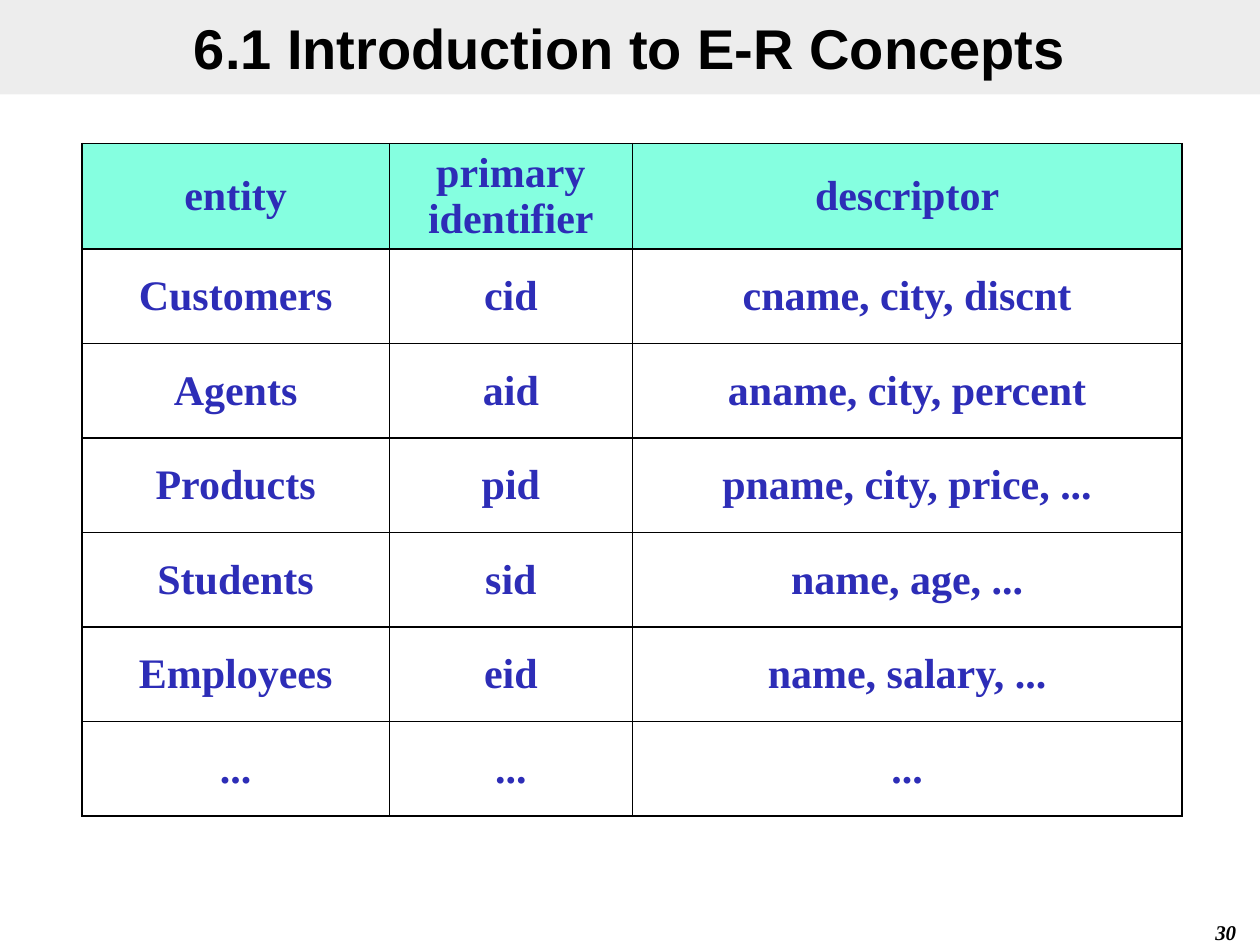
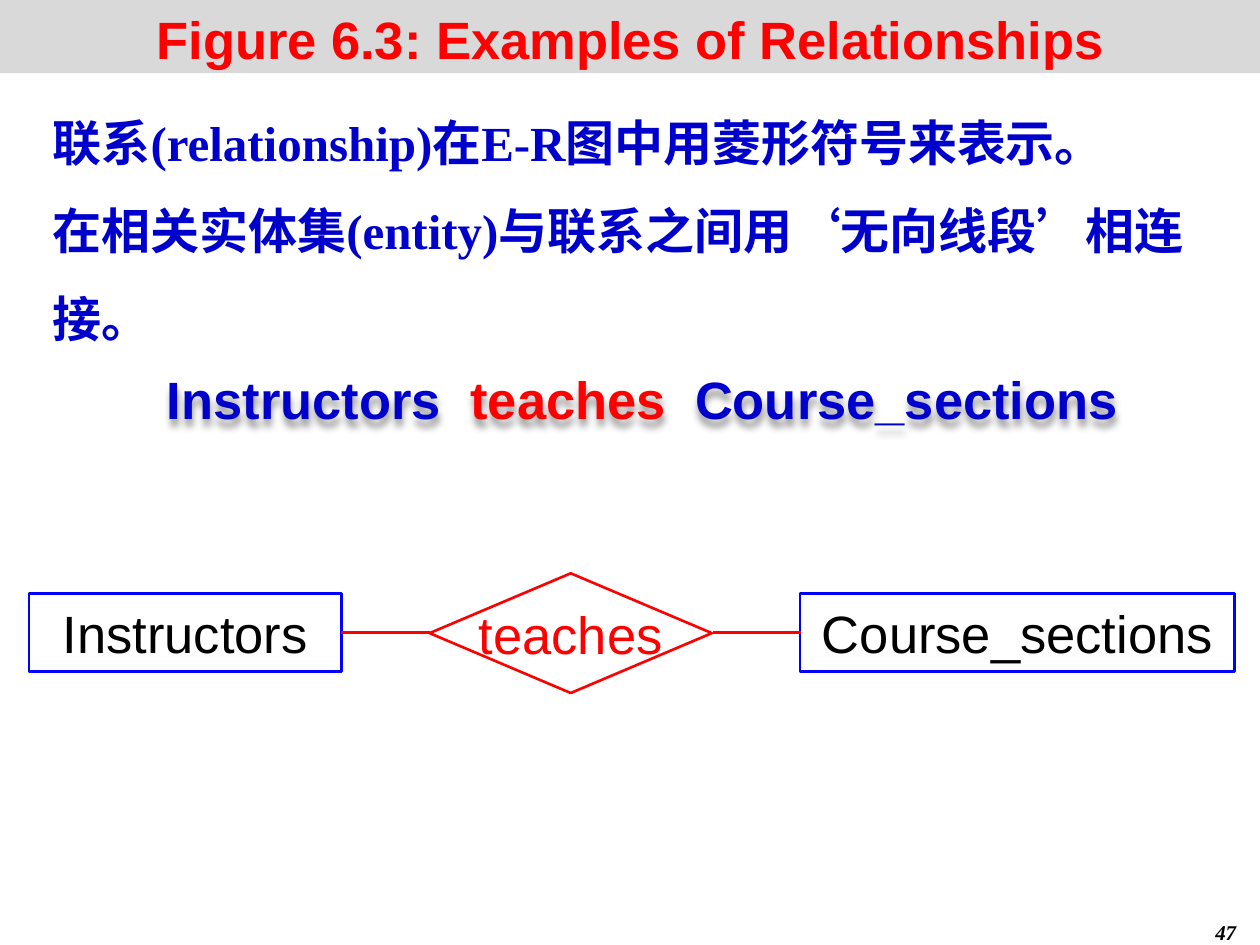
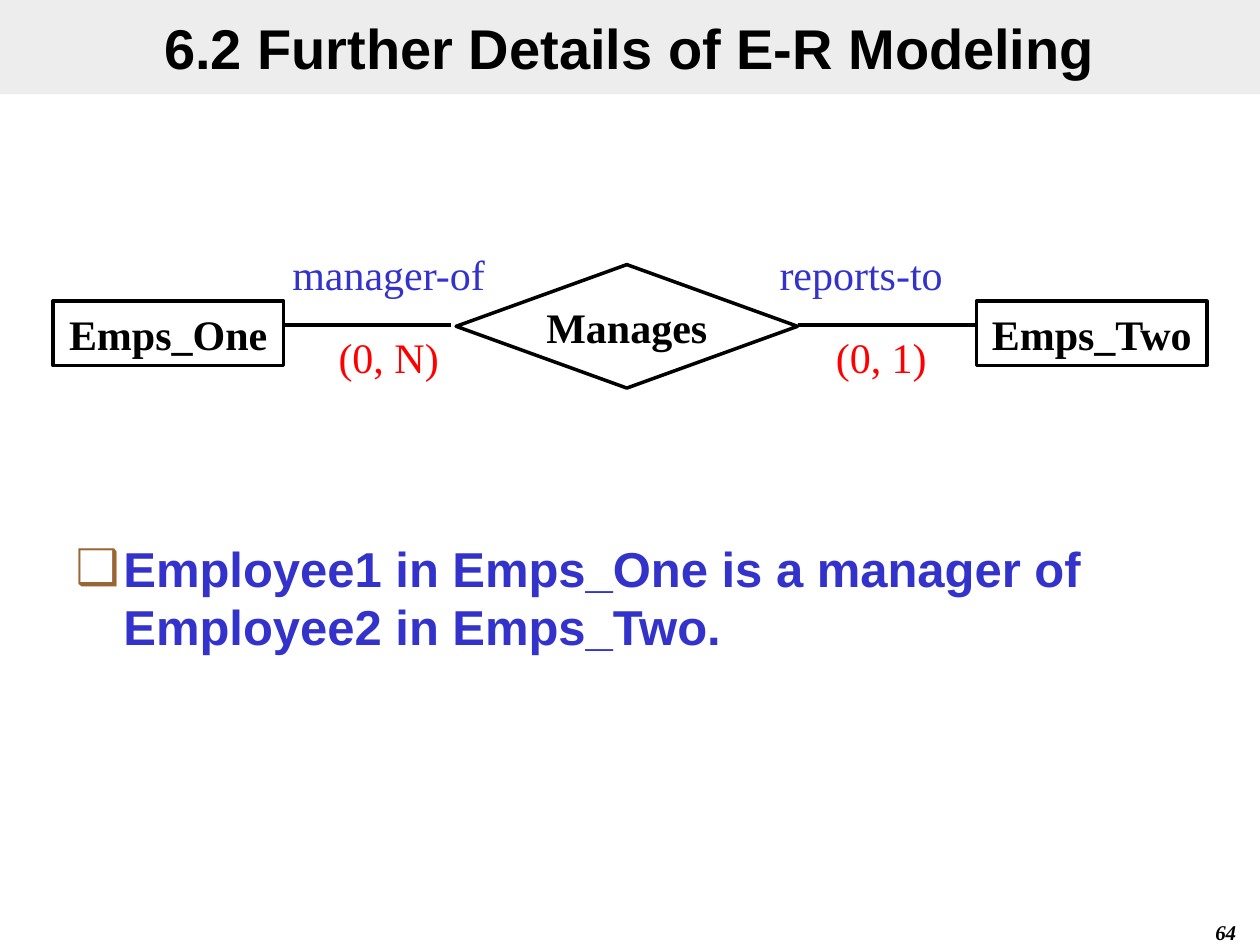
"""Build three slides on entity-relationship concepts."""
import dataclasses

import lxml.etree
import pptx
import pptx.dml.color
import pptx.enum.lang
import pptx.enum.shapes
import pptx.enum.text
import pptx.oxml.ns
import pptx.util

Inches = pptx.util.Inches
Pt = pptx.util.Pt
qn = pptx.oxml.ns.qn
ALIGN = pptx.enum.text.PP_ALIGN
ANCHOR = pptx.enum.text.MSO_ANCHOR
SHAPE = pptx.enum.shapes.MSO_SHAPE


@dataclasses.dataclass(frozen=True)
class Theme:
    """Colours, fonts and type sizes of the presentation."""
    sans: str = "Arial"
    serif: str = "Times New Roman"
    black: str = "000000"
    white: str = "FFFFFF"
    red: str = "FF0000"
    outline_blue: str = "0000FF"
    text_blue: str = "0000CC"
    label_blue: str = "3333CC"
    table_blue: str = "2D2DB7"
    header_fill: str = "85FFE0"
    band: str = "DDDDDD"
    figure_band: str = "D9D9D9"
    bullet: str = "996633"
    title_size: int = 32
    figure_size: int = 30
    body_size: int = 28
    label_size: int = 24
    number_size: int = 12


THEME = Theme()


@dataclasses.dataclass(frozen=True)
class Style:
    """Character formatting of a run."""
    size: int
    font: str
    colour: str
    bold: bool = False
    italic: bool = False


TITLE = Style(THEME.title_size, THEME.sans, THEME.black, bold=True)
FIGURE_TITLE = Style(THEME.figure_size, THEME.sans, THEME.red, bold=True)
FIGURE = Style(THEME.figure_size, THEME.sans, THEME.black)
SENTENCE = Style(THEME.figure_size, THEME.sans, THEME.text_blue, bold=True)
CHINESE = Style(THEME.body_size, THEME.serif, THEME.text_blue, bold=True)
BODY = Style(THEME.body_size, THEME.sans, THEME.label_blue, bold=True)
CELL = Style(THEME.label_size, THEME.serif, THEME.table_blue, bold=True)
ENTITY = Style(THEME.label_size, THEME.serif, THEME.black, bold=True)
ROLE = Style(THEME.label_size, THEME.serif, THEME.label_blue)
CARDINALITY = Style(THEME.label_size, THEME.serif, THEME.red)
NUMBER = Style(THEME.number_size, THEME.serif, THEME.black, bold=True, italic=True)


def rgb(colour):
    """Return a colour object for a hexadecimal string."""
    return pptx.dml.color.RGBColor.from_string(colour)


def add_element(parent, tag, **attributes):
    """Append a drawing element and return it."""
    return lxml.etree.SubElement(parent, qn(tag), attributes)


def add_run(paragraph, text, style):
    """Add one formatted run."""
    run = paragraph.add_run()
    run.text = text
    font = run.font
    font.name, font.size = style.font, Pt(style.size)
    font.bold, font.italic = style.bold, style.italic
    font.color.rgb = rgb(style.colour)
    return run


def write(frame, lines, style, align=ALIGN.CENTER, anchor=ANCHOR.MIDDLE, wrap=True):
    """Fill a text frame with one paragraph per line."""
    frame.word_wrap = wrap
    frame.auto_size = pptx.enum.text.MSO_AUTO_SIZE.NONE
    frame.vertical_anchor = anchor
    for index, line in enumerate(lines):
        paragraph = frame.add_paragraph() if index else frame.paragraphs[0]
        paragraph.alignment = align
        paragraph.space_before = Pt(0)
        add_run(paragraph, line, style)


def place(shape, left, top, width, height):
    """Move and size a shape in inches."""
    shape.left, shape.top = Inches(left), Inches(top)
    shape.width, shape.height = Inches(width), Inches(height)


def add_slide(presentation, layout, number):
    """Add a slide with its number in the lower right corner."""
    slide = presentation.slides.add_slide(presentation.slide_layouts[layout])
    add_label(slide, (7.83, 7.25, 2.08, 0.25), [str(number)], NUMBER, ALIGN.RIGHT, ANCHOR.TOP)
    return slide


def set_title(slide, text, style=TITLE, box=(0, 0, 10, 0.75), band=THEME.band, opacity=50):
    """Write the title on its grey band."""
    title = slide.shapes.title
    place(title, *box)
    title.fill.solid()
    title.fill.fore_color.rgb = rgb(band)
    colour = title.fill._xPr.find(qn("a:solidFill"))[0]
    add_element(colour, "a:alpha", val=str(opacity * 1000))
    write(title.text_frame, [text], style)


def add_label(slide, box, lines, style, align=ALIGN.CENTER, anchor=ANCHOR.MIDDLE):
    """Add a text box."""
    label = slide.shapes.add_textbox(*map(Inches, box))
    write(label.text_frame, lines, style, align, anchor)
    return label


def add_node(slide, kind, box, text, style, line, weight, fill=None):
    """Add an outlined entity or relationship shape."""
    node = slide.shapes.add_shape(kind, *map(Inches, box))
    node.shadow.inherit = False
    if fill:
        node.fill.solid()
        node.fill.fore_color.rgb = rgb(fill)
    else:
        node.fill.background()
    node.line.color.rgb = rgb(line)
    node.line.width = Pt(weight)
    write(node.text_frame, [text], style, wrap=False)


def add_link(slide, start, end, y, colour, weight):
    """Draw a horizontal line between two shapes."""
    link = slide.shapes.add_connector(
        pptx.enum.shapes.MSO_CONNECTOR.STRAIGHT, Inches(start), Inches(y), Inches(end), Inches(y))
    link.line.color.rgb = rgb(colour)
    link.line.width = Pt(weight)
    add_element(link._element.spPr, "a:effectLst")


def add_soft_shadow(shape):
    """Give a text box a blurred shadow below its letters."""
    effects = add_element(shape._element.spPr, "a:effectLst")
    shadow = add_element(effects, "a:outerShdw", blurRad="50800", dist="50800",
                         dir="5400000", algn="t", rotWithShape="0")
    colour = add_element(shadow, "a:srgbClr", val=THEME.black)
    add_element(colour, "a:alpha", val="40000")


def set_bullet(paragraph, character, colour, indent):
    """Give a paragraph a coloured hanging bullet."""
    properties = paragraph._p.get_or_add_pPr()
    properties.set("marL", str(Inches(indent)))
    properties.set("indent", str(-Inches(indent)))
    bullet_colour = add_element(properties, "a:buClr")
    add_element(bullet_colour, "a:srgbClr", val=colour)
    add_element(properties, "a:buChar", char=character)


def set_borders(cell, colour, weight):
    """Draw a line on all four sides of a cell."""
    properties = cell._tc.get_or_add_tcPr()
    for side in ("a:lnL", "a:lnR", "a:lnT", "a:lnB"):
        line = add_element(properties, side, w=str(Pt(weight)))
        fill = add_element(line, "a:solidFill")
        add_element(fill, "a:srgbClr", val=colour)


def add_grid(slide, left, top, widths, row_height, rows):
    """Add a bordered table with a coloured header row."""
    frame = slide.shapes.add_table(
        len(rows), len(widths), Inches(left), Inches(top),
        Inches(sum(widths)), Inches(row_height * len(rows)))
    table = frame.table
    table.horz_banding = False
    for column, width in zip(table.columns, widths):
        column.width = Inches(width)
    for row_index, row in enumerate(rows):
        for column_index, text in enumerate(row):
            cell = table.cell(row_index, column_index)
            set_borders(cell, THEME.black, 1)
            if row_index:
                cell.fill.background()
            else:
                cell.fill.solid()
                cell.fill.fore_color.rgb = rgb(THEME.header_fill)
            cell.vertical_anchor = ANCHOR.MIDDLE
            write_cell(cell, text)


def write_cell(cell, text):
    """Write centred lines in a table cell."""
    for index, line in enumerate(text.split("\n")):
        paragraph = cell.text_frame.add_paragraph() if index else cell.text_frame.paragraphs[0]
        paragraph.alignment = ALIGN.CENTER
        add_run(paragraph, line, CELL)


def build_entity_table(presentation):
    """Build the slide that lists entities and their attributes."""
    slide = add_slide(presentation, 5, 30)
    set_title(slide, "6.1 Introduction to E-R Concepts")
    add_grid(slide, 0.65, 1.14, (2.44, 1.93, 4.36), 0.75, [
        ("entity", "primary\nidentifier", "descriptor"),
        ("Customers", "cid", "cname, city, discnt"),
        ("Agents", "aid", "aname, city, percent"),
        ("Products", "pid", "pname, city, price, ..."),
        ("Students", "sid", "name, age, ..."),
        ("Employees", "eid", "name, salary, ..."),
        ("...", "...", "..."),
    ])


def build_teaches(presentation):
    """Build the slide with the teaches relationship."""
    slide = add_slide(presentation, 5, 47)
    set_title(slide, "Figure 6.3: Examples of Relationships", FIGURE_TITLE,
              (-0.02, -0.02, 10.05, 0.6), THEME.figure_band, 100)
    slide.shapes.title.text_frame.margin_top = Inches(0.1)
    for box, text in (((0.23, 4.71, 2.48, 0.62), "Instructors"),
                      ((6.35, 4.71, 3.45, 0.62), "Course_sections")):
        add_node(slide, SHAPE.RECTANGLE, box, text, FIGURE, THEME.outline_blue, 1.5)
    add_node(slide, SHAPE.DIAMOND, (3.41, 4.55, 2.24, 0.95), "teaches",
             dataclasses.replace(FIGURE, colour=THEME.red), THEME.red, 1.5, THEME.white)
    for start, end in ((2.71, 3.41), (5.66, 6.36)):
        add_link(slide, start, end, 5.02, THEME.red, 1.5)

    explanation = add_label(slide, (0.32, 0.61, 9.49, 2.2), [
        "联系(relationship)在E-R图中用菱形符号来表示。",
        "在相关实体集(entity)与联系之间用‘无向线段’相连接。",
    ], CHINESE, ALIGN.LEFT, ANCHOR.TOP)
    for paragraph in explanation.text_frame.paragraphs:
        paragraph.line_spacing = 1.5
        for run in paragraph.runs:
            run.font.language_id = pptx.enum.lang.MSO_LANGUAGE_ID.SIMPLIFIED_CHINESE

    sentence = add_label(slide, (0.18, 2.86, 9.84, 0.6), ["Instructors  "], SENTENCE)
    paragraph = sentence.text_frame.paragraphs[0]
    add_run(paragraph, "teaches  ", FIGURE_TITLE)
    add_run(paragraph, "Course_sections", SENTENCE)
    add_soft_shadow(sentence)


def build_manages(presentation):
    """Build the slide with the manages relationship."""
    slide = add_slide(presentation, 1, 64)
    set_title(slide, "6.2 Further Details of E-R Modeling")
    body = slide.placeholders[1]
    place(body, 0.5, 4.22, 9, 1.16)
    set_bullet(body.text_frame.paragraphs[0], "❑", THEME.bullet, 0.38)
    write(body.text_frame, ["Employee1 in Emps_One is a manager of Employee2 in Emps_Two."],
          BODY, ALIGN.LEFT, ANCHOR.TOP)
    for kind, box, text in (
            (SHAPE.RECTANGLE, (7.75, 2.39, 1.83, 0.51), "Emps_Two"),
            (SHAPE.RECTANGLE, (0.42, 2.39, 1.83, 0.51), "Emps_One"),
            (SHAPE.FLOWCHART_DECISION, (3.62, 2.1, 2.71, 0.98), "Manages")):
        add_node(slide, kind, box, text, ENTITY, THEME.black, 2)
    for start, end in ((3.58, 2.25), (6.33, 7.75)):
        add_link(slide, start, end, 2.58, THEME.black, 2)
    for left, top, text, style in (
            (2.17, 1.92, "manager-of", ROLE), (5.92, 1.92, "reports-to", ROLE),
            (2.17, 2.58, "(0, N)", CARDINALITY), (6.08, 2.58, "(0, 1)", CARDINALITY)):
        add_label(slide, (left, top, 1.83, 0.5), [text], style)


def main():
    """Build and save the presentation."""
    presentation = pptx.Presentation()
    presentation.slide_width, presentation.slide_height = Inches(10), Inches(7.5)
    build_entity_table(presentation)
    build_teaches(presentation)
    build_manages(presentation)
    presentation.save("out.pptx")


if __name__ == "__main__":
    main()
